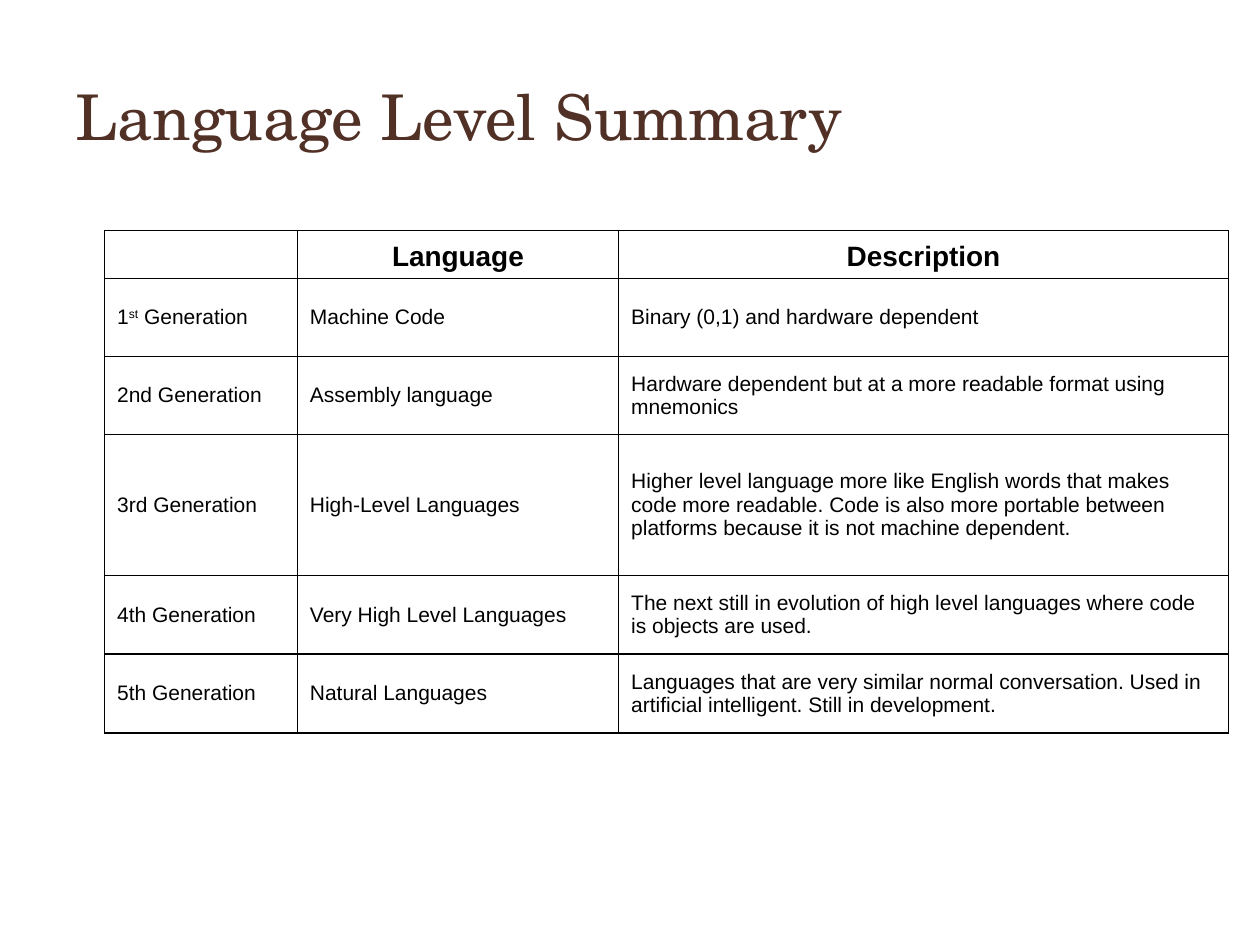
from lxml.etree import SubElement
from pptx import Presentation
from pptx.dml.color import RGBColor
from pptx.enum.text import MSO_ANCHOR, PP_ALIGN
from pptx.oxml.ns import qn
from pptx.util import Inches, Pt

COLORS = {"title": "513026", "text": "000000", "border": "000000", "cell": "FFFFFF"}
TITLE_FONT = "TeX Gyre Schola"
TABLE_FONT = "Arial"
COLUMN_WIDTHS = [1.53, 2.55, 4.84]
ROW_HEIGHTS = [0.38, 0.62, 0.62, 1.12, 0.62, 0.63]
HEADER = ["", "Language", "Description"]
GENERATIONS = [
    ["1st Generation", "Machine Code", "Binary (0,1) and hardware dependent"],
    ["2nd Generation", "Assembly language",
     "Hardware dependent but at a more readable format using mnemonics"],
    ["3rd Generation", "High-Level Languages",
     "Higher level language more like English words that makes code more readable. "
     "Code is also more portable between platforms because it is not machine dependent."],
    ["4th Generation", "Very High Level Languages",
     "The next still in evolution of high level languages where code is objects are used."],
    ["5th Generation", "Natural Languages",
     "Languages that are very similar normal conversation. "
     "Used in artificial intelligent. Still in development."],
]


def format_runs(paragraph, font_name, size, color, bold=False):
    for run in paragraph.runs:
        run.font.name = font_name
        run.font.size = Pt(size)
        run.font.bold = bold
        run.font.color.rgb = RGBColor.from_string(COLORS[color])


def add_title(slide, text):
    title = slide.shapes.title
    title.left, title.top = Inches(0.5), Inches(0.5)
    title.width, title.height = Inches(9), Inches(0.83)
    title.text_frame.text = text
    title.text_frame.vertical_anchor = MSO_ANCHOR.MIDDLE
    paragraph = title.text_frame.paragraphs[0]
    paragraph.alignment = PP_ALIGN.LEFT
    format_runs(paragraph, TITLE_FONT, 36, "title")


def add_borders(cell):
    properties = cell._tc.get_or_add_tcPr()
    for side in ("a:lnL", "a:lnR", "a:lnT", "a:lnB"):
        line = SubElement(properties, qn(side), w=str(Pt(1)))
        fill = SubElement(line, qn("a:solidFill"))
        SubElement(fill, qn("a:srgbClr"), val=COLORS["border"])


def fill_cell(cell, text, is_header):
    size = 16 if is_header else 12
    add_borders(cell)
    cell.fill.solid()
    cell.fill.fore_color.rgb = RGBColor.from_string(COLORS["cell"])
    cell.vertical_anchor = MSO_ANCHOR.BOTTOM if is_header else MSO_ANCHOR.MIDDLE
    paragraph = cell.text_frame.paragraphs[0]
    paragraph.alignment = PP_ALIGN.CENTER if is_header else PP_ALIGN.LEFT
    if not text:
        SubElement(paragraph._p, qn("a:endParaRPr"), sz=str(size * 100))
        return
    pieces = ["1", "st", text[3:]] if text.startswith("1st") else [text]
    for piece in pieces:
        run = paragraph.add_run()
        run.text = piece
        if piece == "st":
            run._r.get_or_add_rPr().set("baseline", "30000")
    format_runs(paragraph, TABLE_FONT, size, "text", bold=is_header)


def add_language_table(slide):
    rows = [HEADER] + GENERATIONS
    frame = slide.shapes.add_table(
        len(rows), len(HEADER), Inches(0.83), Inches(1.83),
        Inches(sum(COLUMN_WIDTHS)), Inches(sum(ROW_HEIGHTS)))
    table = frame.table
    table.first_row = table.horz_banding = False
    for column, width in zip(table.columns, COLUMN_WIDTHS):
        column.width = Inches(width)
    for row_index, (row, height, texts) in enumerate(zip(table.rows, ROW_HEIGHTS, rows)):
        row.height = Inches(height)
        for cell, text in zip(row.cells, texts):
            fill_cell(cell, text, is_header=row_index == 0)


def main():
    presentation = Presentation()
    presentation.slide_width, presentation.slide_height = Inches(10), Inches(7.5)
    slide = presentation.slides.add_slide(presentation.slide_layouts[5])
    add_title(slide, "Language Level Summary")
    add_language_table(slide)
    presentation.save("out.pptx")


if __name__ == "__main__":
    main()
